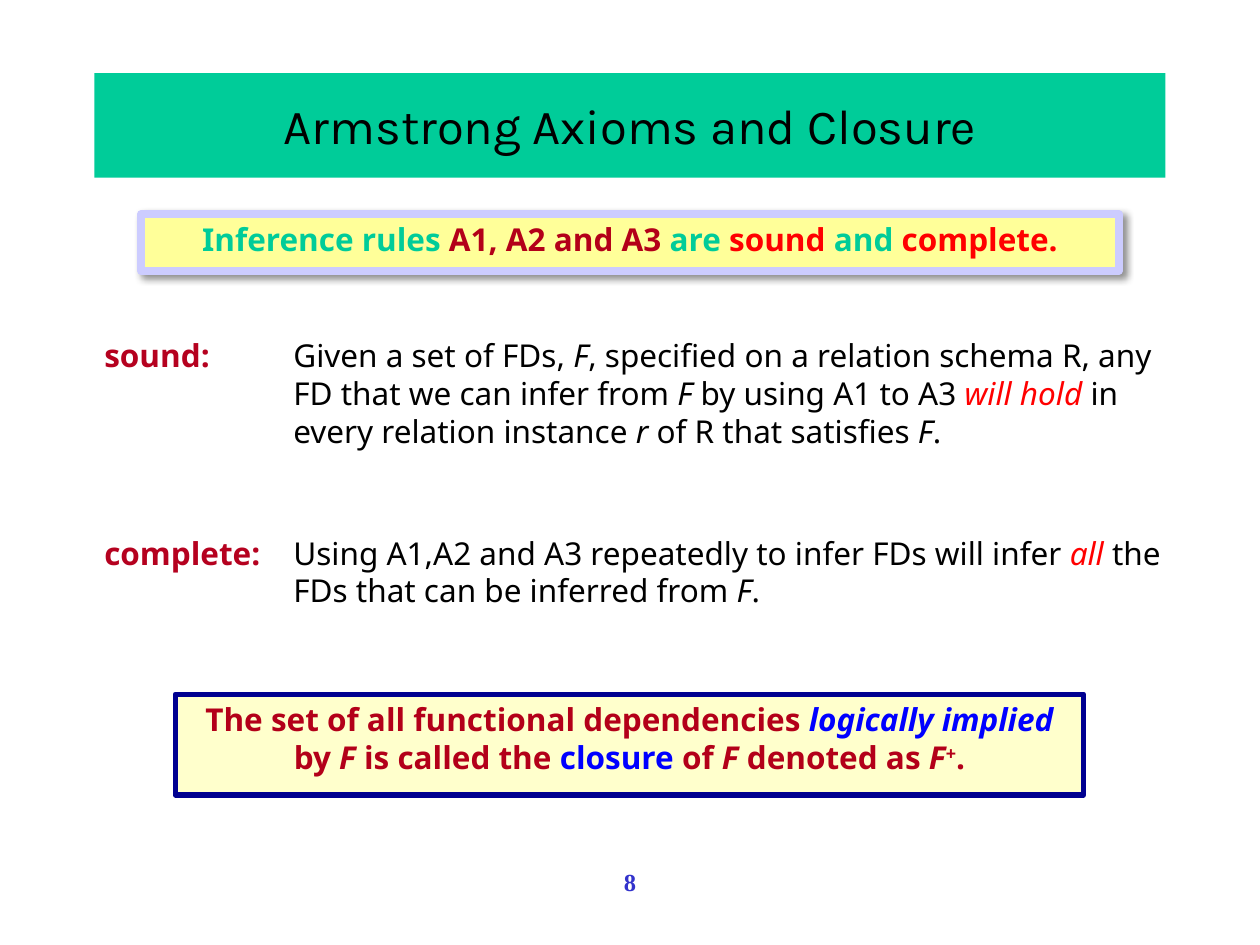
import pptx
import pptx.dml.color
import pptx.enum.shapes
import pptx.enum.text
import pptx.oxml
import pptx.oxml.ns
import pptx.util
from pptx.util import Inches

CENTER = pptx.enum.text.PP_ALIGN.CENTER
MIDDLE = pptx.enum.text.MSO_ANCHOR.MIDDLE
BLACK, CRIMSON, RULE_RED = "000000", "B5011F", "B30019"
RED, BLUE, GREEN = "FF0000", "0000FF", "00CC99"


def rgb(value):
    """Turn a hex string into a colour."""
    return pptx.dml.color.RGBColor.from_string(value)


class Deck:
    """Text style and the current slide."""

    def __init__(self, slide, font="Noto Sans", size=18):
        """Keep the slide and its default font."""
        self.s, self.font, self.size = slide, font, size

    def paragraph(self, p, runs, bold=False, font=None, size=None):
        """Add runs given as (text, colour, flags): b bold, i italic, ^ superscript."""
        for text, color, flags in runs:
            r = p.add_run()
            r.text = text
            r.font.name = font or self.font
            r.font.size = pptx.util.Pt(size or self.size)
            r.font.color.rgb = rgb(color)
            r.font.bold = bold or "b" in flags
            r.font.italic = "i" in flags
            if "^" in flags:
                r._r.get_or_add_rPr().set("baseline", "30000")

    def box(self, at, fill, runs, line=None, width=0, anchor=MIDDLE, bottom=0.05, **style):
        """Draw a filled rectangle with centred text."""
        sp = self.s.shapes.add_shape(
            pptx.enum.shapes.MSO_SHAPE.RECTANGLE, *map(Inches, at))
        sp.shadow.inherit = False
        sp.fill.solid()
        sp.fill.fore_color.rgb = rgb(fill)
        if line:
            sp.line.color.rgb = rgb(line)
            sp.line.width = pptx.util.Pt(width)
        else:
            sp.line.fill.background()
        tf = sp.text_frame
        tf.word_wrap = True
        tf.vertical_anchor = anchor
        tf.margin_bottom = Inches(bottom)
        tf.paragraphs[0].alignment = CENTER
        self.paragraph(tf.paragraphs[0], runs, **style)
        return sp

    def text(self, at, paragraphs, align=None, hang=0, before=0, **style):
        """Add a text box, with a hanging indent if asked."""
        tf = self.s.shapes.add_textbox(*map(Inches, at)).text_frame
        tf.word_wrap = True
        for n, runs in enumerate(paragraphs):
            p = tf.add_paragraph() if n else tf.paragraphs[0]
            p.alignment = align
            p.space_before = pptx.util.Pt(before)
            if hang:
                pPr = p._p.get_or_add_pPr()
                pPr.set("marL", str(Inches(hang)))
                pPr.set("indent", str(-Inches(hang)))
            self.paragraph(p, runs, **style)

    def shadow(self, sp, color, alpha, blur, dist, angle):
        """Give a shape an outer shadow."""
        effects = sp._element.spPr.find(pptx.oxml.ns.qn("a:effectLst"))
        effects.append(pptx.oxml.parse_xml(
            f'<a:outerShdw {pptx.oxml.ns.nsdecls("a")} blurRad="{pptx.util.Pt(blur)}" '
            f'dist="{pptx.util.Pt(dist)}" dir="{angle * 60000}" algn="tl" rotWithShape="0">'
            f'<a:srgbClr val="{color}"><a:alpha val="{alpha * 1000}"/></a:srgbClr>'
            '</a:outerShdw>'))


prs = pptx.Presentation()
prs.slide_width, prs.slide_height = Inches(10), Inches(7.5)
deck = Deck(prs.slides.add_slide(prs.slide_layouts[6]))

deck.box((0.75, 0.58, 8.5, 0.83), GREEN,
         [("Armstrong Axioms and Closure", BLACK, "")], font="Karla", size=28)

sound = [
    ("sound:", CRIMSON, "b"), ("\tGiven a set of FDs, ", BLACK, ""), ("F", BLACK, "i"),
    (", specified on a relation schema R, any FD that we can infer from ", BLACK, ""),
    ("F", BLACK, "i"), (" by using A1 to A3 ", BLACK, ""), ("will hold", RED, "i"),
    (" in every relation instance ", BLACK, ""), ("r", BLACK, "i"),
    (" of R that satisfies ", BLACK, ""), ("F", BLACK, "i"), (".", BLACK, "")]
complete = [
    ("complete:", CRIMSON, "b"),
    ("\tUsing A1,A2 and A3 repeatedly to infer FDs will infer ", BLACK, ""),
    ("all ", RED, "i"), ("the FDs that can be inferred from ", BLACK, ""),
    ("F", BLACK, "i"), (".", BLACK, "")]
deck.text((0.73, 2.62, 8.6, 2.46), [sound, complete], hang=1.5, before=48)

rules = deck.box(
    (1.12, 1.7, 7.76, 0.45), "FFFF99",
    [("Inference rules ", GREEN, ""), ("A1, A2 and A3", RULE_RED, ""), (" are ", GREEN, ""),
     ("sound", RED, ""), (" and ", GREEN, ""), ("complete.", RED, "")],
    line="CCCCFF", width=4.5, bottom=0.1, bold=True)
deck.shadow(rules, BLACK, alpha=43, blur=4, dist=3, angle=45)

deck.box(
    (1.39, 5.51, 7.21, 0.8), "FFFFCC",
    [("The set of all functional dependencies ", RULE_RED, ""),
     ("logically implied", BLUE, "i"), (" by ", RULE_RED, ""), ("F", RULE_RED, "i"),
     (" is called the ", RULE_RED, ""), ("closure", BLUE, ""), (" of ", RULE_RED, ""),
     ("F", RULE_RED, "i"), (" denoted as ", RULE_RED, ""), ("F", RULE_RED, "i"),
     ("+", RULE_RED, "i^"), (".", RULE_RED, "")],
    line="000090", width=3, anchor=pptx.enum.text.MSO_ANCHOR.TOP, bold=True)

deck.text((0.5, 6.83, 9, 0.5), [[("8", "3333CC", "")]], align=CENTER,
          bold=True, font="Times New Roman", size=14)

prs.save("out.pptx")
